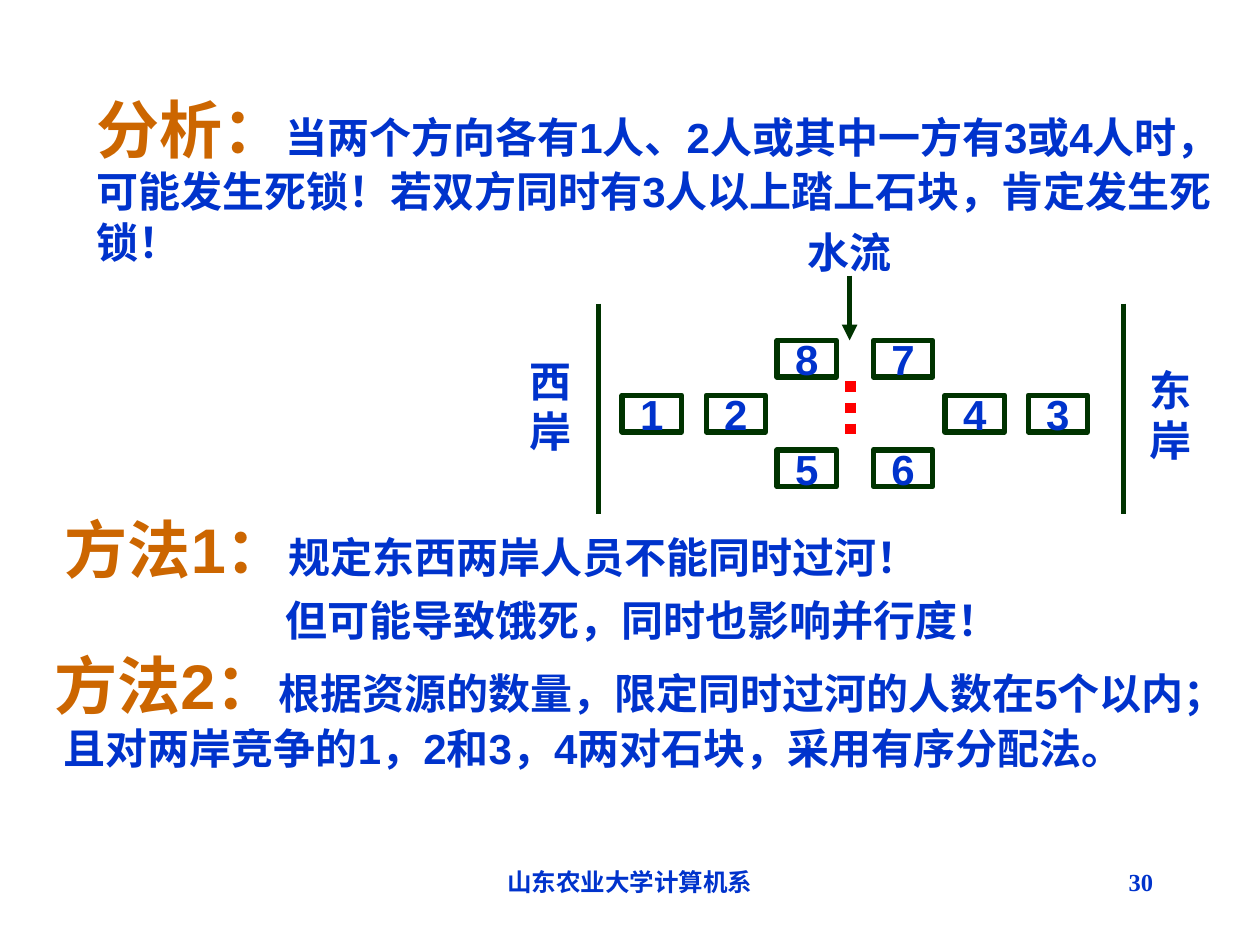
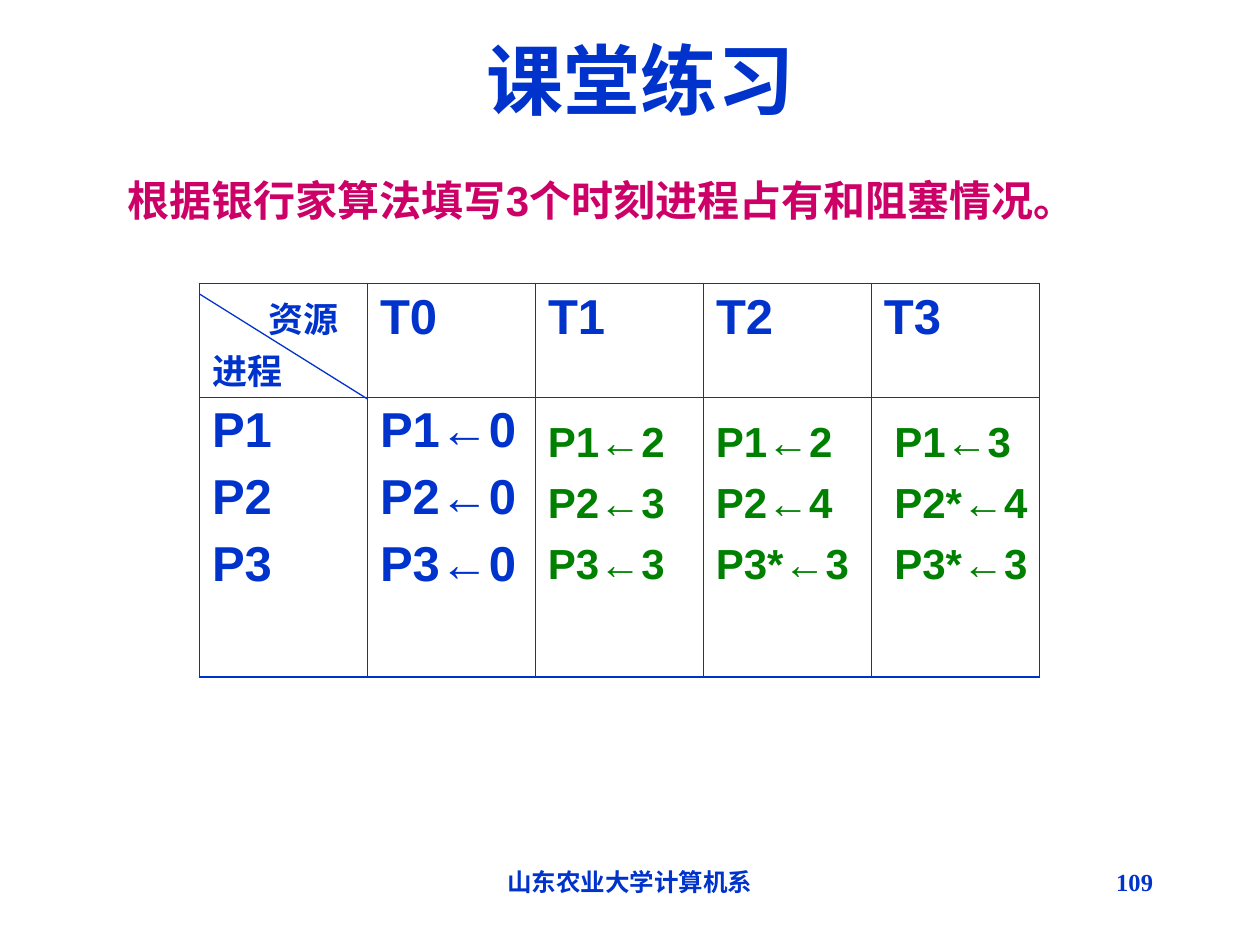
from lxml.etree import SubElement
from pptx import Presentation
from pptx.dml.color import RGBColor
from pptx.enum.dml import MSO_LINE
from pptx.enum.shapes import MSO_CONNECTOR, MSO_SHAPE
from pptx.enum.text import MSO_ANCHOR as Anchor, PP_ALIGN as Align
from pptx.oxml import parse_xml
from pptx.oxml.ns import nsdecls, qn
from pptx.util import Pt

BLUE, ORANGE, PINK = "0033CC", "CC6600", "CC0066"
DARK_GREEN, GREEN, RED = "003300", "008000", "FF0000"
BODY_FONT, FOOTER_FONT = "Arial", "Times New Roman"
HEADING_SIZE, BODY_SIZE = 36, 24
OUTER_BORDER, INNER_BORDER = 1.08, 0.45


def color(value):
    return RGBColor.from_string(value)


class Deck:
    """Holds the shared style and draws elements on the current slide."""

    def __init__(self):
        self.presentation = Presentation()
        self.presentation.slide_width = Pt(720)
        self.presentation.slide_height = Pt(540)
        self.slide = None

    def add_slide(self, number):
        layout = self.presentation.slide_layouts[6]
        self.slide = self.presentation.slides.add_slide(layout)
        footer = dict(size=14, font=FOOTER_FONT)
        self.text("山东农业大学计算机系", 246, 492, 228, 36, align=Align.CENTER, **footer)
        self.text(number, 516, 492, 150, 36, align=Align.RIGHT, **footer)

    def format(self, run, size, ink, font=BODY_FONT):
        run.font.name = font
        run.font.size = Pt(size)
        run.font.bold = True
        run.font.color.rgb = color(ink)

    def fill_text(self, frame, text, size, ink=BLUE, font=BODY_FONT, align=Align.LEFT, gap=0):
        frame.text = text
        for index, paragraph in enumerate(frame.paragraphs):
            paragraph.alignment = align
            if index and gap:
                paragraph.space_before = Pt(gap)
            for run in paragraph.runs:
                self.format(run, size, ink, font)

    def text(self, text, left, top, width, height, size=BODY_SIZE, anchor=Anchor.TOP,
             wrap=True, **style):
        box = self.slide.shapes.add_textbox(Pt(left), Pt(top), Pt(width), Pt(height))
        frame = box.text_frame
        frame.word_wrap = wrap
        frame.vertical_anchor = anchor
        self.fill_text(frame, text, size, **style)
        return frame

    def headed_text(self, heading, body, left, top, width, height):
        frame = self.text(heading, left, top, width, height, HEADING_SIZE, ink=ORANGE)
        run = frame.paragraphs[0].add_run()
        run.text = body
        self.format(run, BODY_SIZE, BLUE)

    def line(self, start, end, ink, width, dash=None, arrow=False):
        points = [Pt(value) for value in (*start, *end)]
        connector = self.slide.shapes.add_connector(MSO_CONNECTOR.STRAIGHT, *points)
        connector.line.color.rgb = color(ink)
        connector.line.width = Pt(width)
        if dash:
            connector.line.dash_style = dash
        if arrow:
            SubElement(connector.line._get_or_add_ln(), qn("a:tailEnd"), type="triangle")
        SubElement(connector._element.spPr, qn("a:effectLst"))

    def stone(self, label, left, top):
        shape = self.slide.shapes.add_shape(
            MSO_SHAPE.RECTANGLE, Pt(left), Pt(top), Pt(34), Pt(21))
        shape.shadow.inherit = False
        shape.fill.background()
        shape.line.color.rgb = color(DARK_GREEN)
        shape.line.width = Pt(3)
        frame = shape.text_frame
        frame.word_wrap = False
        frame.vertical_anchor = Anchor.MIDDLE
        self.fill_text(frame, label, BODY_SIZE, align=Align.CENTER)

    def borders(self, cell, widths):
        properties = cell._tc.get_or_add_tcPr()
        for index, (side, width) in enumerate(zip("LRTB", widths)):
            properties.insert(index, parse_xml(
                f'<a:ln{side} {nsdecls("a")} w="{Pt(width)}"><a:solidFill>'
                f'<a:srgbClr val="{BLUE}"/></a:solidFill></a:ln{side}>'))

    def table(self, rows, left, top, column_width, row_heights):
        columns = len(rows[0])
        frame = self.slide.shapes.add_table(
            len(rows), columns, Pt(left), Pt(top),
            Pt(column_width * columns), Pt(sum(row_heights)))
        table = frame.table
        table.first_row = table.horz_banding = False
        for column in table.columns:
            column.width = Pt(column_width)
        for row, height in zip(table.rows, row_heights):
            row.height = Pt(height)
        for r, row in enumerate(rows):
            for c, text in enumerate(row):
                cell = table.cell(r, c)
                cell.fill.background()
                edges = (c == 0, c == columns - 1, r == 0, r == len(rows) - 1)
                self.borders(cell, [OUTER_BORDER if edge else INNER_BORDER for edge in edges])
                if text:
                    self.fill_text(cell.text_frame, text, 28, gap=7)
        return table

    def corner(self, cell, column_label, row_label):
        self.fill_text(cell.text_frame, f"{column_label}\n{row_label}", 20)
        cell.margin_bottom = 0
        for paragraph in cell.text_frame.paragraphs:
            paragraph.line_spacing = Pt(30)
        cell.text_frame.paragraphs[0]._p.get_or_add_pPr().set("marL", str(Pt(32)))


def river_slide(deck):
    deck.add_slide("30")
    deck.headed_text("分析：", "当两个方向各有1人、2人或其中一方有3或4人时，可能发生死锁！"
                     "若双方同时有3人以上踏上石块，肯定发生死锁！", 48, 48, 654, 108)
    deck.headed_text("方法1：", "规定东西两岸人员不能同时过河！", 30, 288, 600, 50)
    deck.text("但可能导致饿死，同时也影响并行度！", 156, 336, 540, 36)
    deck.headed_text("方法2：", "根据资源的数量，限定同时过河的人数在5个以内； "
                     "且对两岸竞争的1，2和3，4两对石块，采用有序分配法。", 24, 366, 678, 108)

    for bank, left, top in (("西岸", 294, 199.5), ("东岸", 648.5, 204.5)):
        deck.text(bank, left, top, 41, 65, align=Align.CENTER)
    for shore in (342, 642):
        deck.line((shore, 173.5), (shore, 294), DARK_GREEN, 3)

    stone_rows = (
        (("8", 444), ("7", 499)),
        (("1", 355.5), ("2", 403.5), ("4", 540), ("3", 587.5)),
        (("5", 444), ("6", 499)),
    )
    for index, stones in enumerate(stone_rows):
        for label, left in stones:
            deck.stone(label, left, 194.5 + 31.3 * index)

    deck.text("水流", 430.5, 126, 109.5, 36, align=Align.CENTER)
    deck.line((485.5, 157.5), (485.5, 194.5), DARK_GREEN, 3, arrow=True)
    deck.line((486, 218), (486, 252), RED, 6, dash=MSO_LINE.ROUND_DOT)


def exercise_slide(deck):
    deck.add_slide("109")
    deck.text("课堂练习", 30, 0, 672.5, 90, 44, Anchor.MIDDLE, align=Align.CENTER)
    deck.text("根据银行家算法填写3个时刻进程占有和阻塞情况。", 66, 96, 567, 36,
              wrap=False, ink=PINK)

    table = deck.table(
        [["", "T0", "T1", "T2", "T3"],
         ["P1\nP2\nP3", "P1←0\nP2←0\nP3←0", "", "", ""]],
        114, 162, 96, (65, 160))
    deck.corner(table.cell(0, 0), "资源", "进程")
    deck.line((114, 168), (210, 228), BLUE, 0.75)

    answers = (
        ("P1←2\nP2←3\nP3←3", 306, 90),
        ("P1←2\nP2←4\nP3*←3", 402, 102),
        ("P1←3\nP2*←4\nP3*←3", 504, 102),
    )
    for answer, left, width in answers:
        deck.text(answer, left, 234, width, 106, ink=GREEN, gap=6)


def main():
    deck = Deck()
    river_slide(deck)
    exercise_slide(deck)
    deck.presentation.save("out.pptx")


if __name__ == "__main__":
    main()
